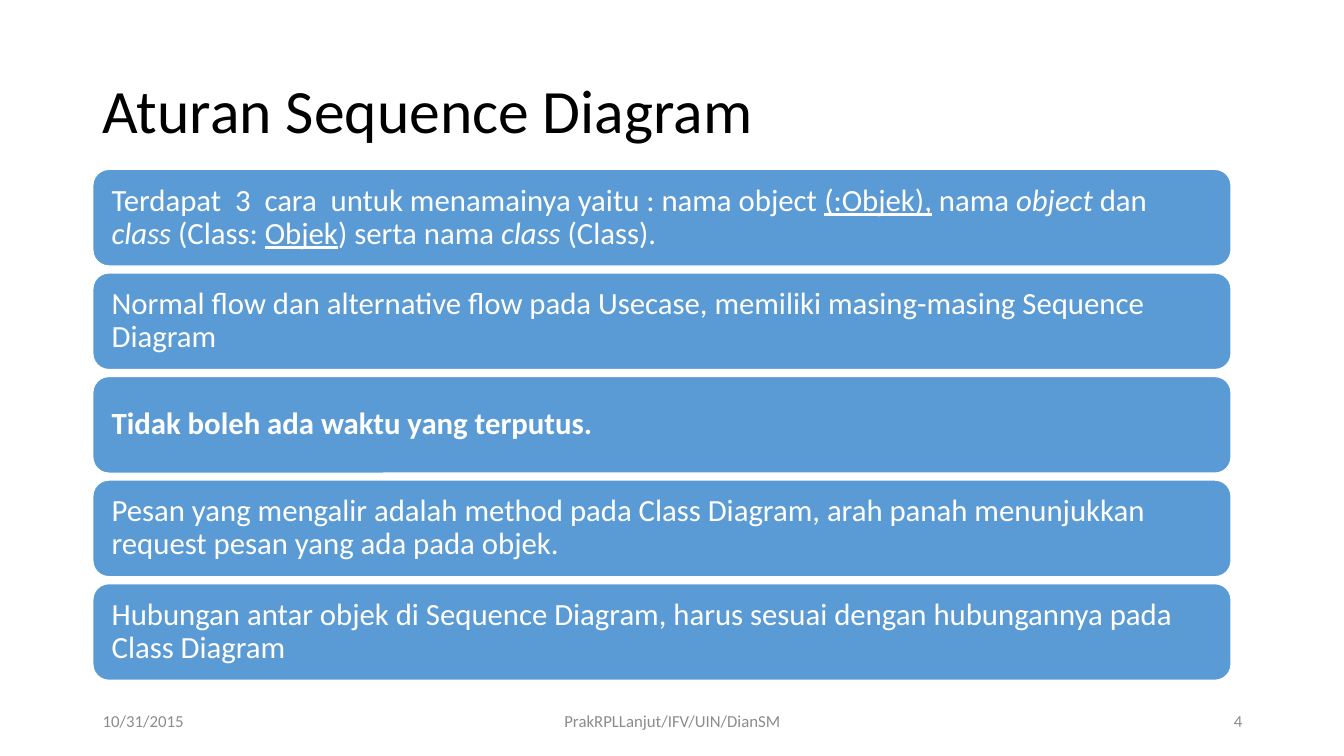
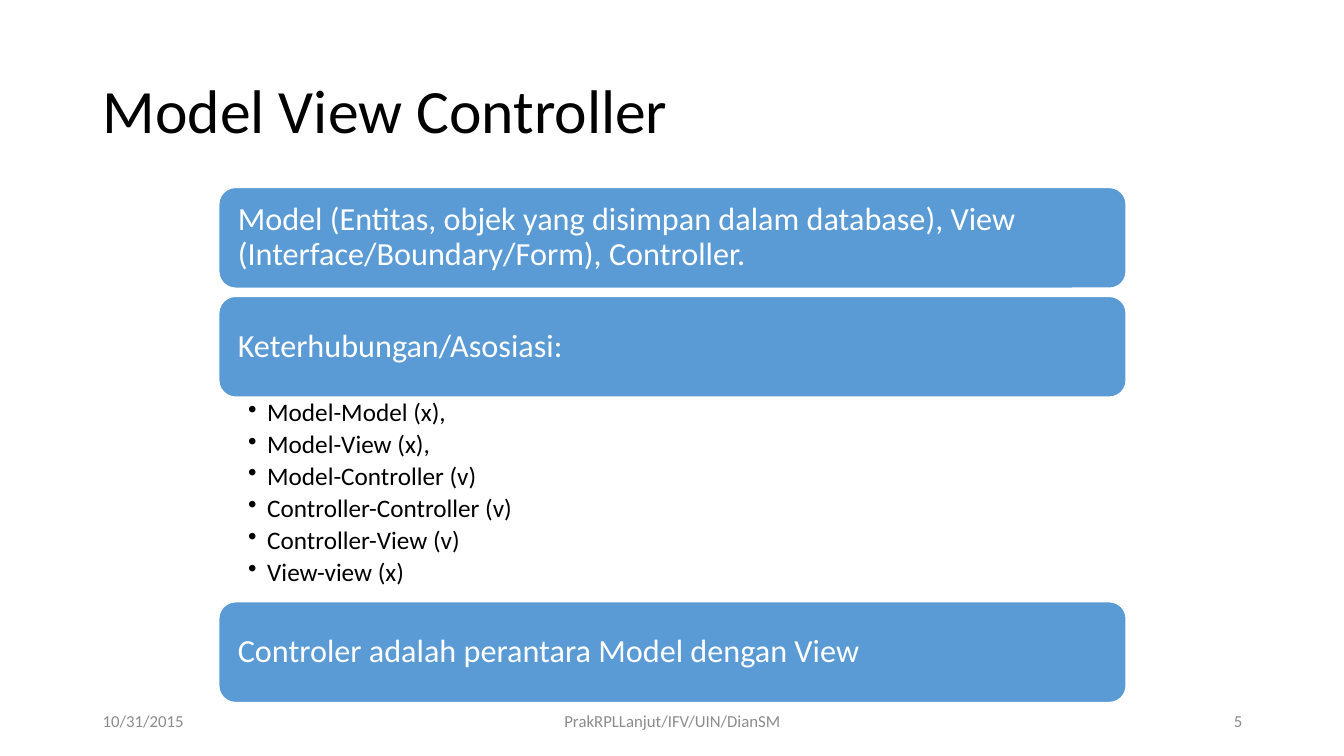
"""Build two slides on sequence diagrams and the model view controller."""
from dataclasses import dataclass, field
from typing import Any

from lxml import etree
from pptx import Presentation
from pptx.dml import color
from pptx.enum import shapes, text
from pptx.oxml import ns
from pptx.util import Inches, Pt

HUES = {"card": "5B9BD5", "paper": "FFFFFF", "ink": "000000", "note": "8C8C8C"}
FONT = "Calibri"
LEFT, MID, RIGHT = text.PP_ALIGN.LEFT, text.PP_ALIGN.CENTER, text.PP_ALIGN.RIGHT
DATE = "10/31/2015"
COURSE = "PrakRPLLanjut/IFV/UIN/DianSM"


@dataclass(frozen=True)
class Box:
    left: float
    top: float
    width: float
    height: float

    def place(self) -> list[int]:
        return [Inches(n) for n in (self.left, self.top, self.width, self.height)]


@dataclass(frozen=True)
class Span:
    words: str
    look: dict[str, bool] = field(default_factory=dict)


@dataclass(frozen=True)
class Style:
    size: float
    hue: str
    align: Any = LEFT
    line: float = 1.0
    after: float = 0


@dataclass(frozen=True)
class Card:
    box: Box
    spans: list[Span]
    size: float


HEAD = Style(44, "ink", line=0.9)
ITEM = Style(18, "ink", line=0.9, after=3.3)
TITLE = Box(0.92, 0.4, 11.5, 1.45)
FOOT_TOP, FOOT_HIGH = 6.95, 0.4
ITALIC, UNDER, BOLD = {"italic": True}, {"underline": True}, {"bold": True}

RULES = [
    [
        Span("Terdapat  3  cara  untuk menamainya yaitu : nama object "),
        Span("(:Objek),", UNDER),
        Span(" nama "),
        Span("object ", ITALIC),
        Span("dan "),
        Span("class ", ITALIC),
        Span("(Class: "),
        Span("Objek", UNDER),
        Span(") serta nama "),
        Span("class ", ITALIC),
        Span("(Class)."),
    ],
    [Span("Normal flow dan alternative flow pada Usecase, memiliki masing-masing Sequence Diagram")],
    [Span("Tidak boleh ada waktu yang terputus.", BOLD)],
    [Span("Pesan yang mengalir adalah method pada Class Diagram, arah panah menunjukkan request pesan yang ada pada objek.")],
    [Span("Hubungan antar objek di Sequence Diagram, harus sesuai dengan hubungannya pada Class Diagram")],
]
PARTS = {
    1.86: "Model (Entitas, objek yang disimpan dalam database), View (Interface/Boundary/Form), Controller.",
    2.94: "Keterhubungan/Asosiasi:",
    5.97: "Controler adalah perantara Model dengan View",
}
LINKS = [
    "Model-Model (x),",
    "Model-View (x),",
    "Model-Controller (v)",
    "Controller-Controller (v)",
    "Controller-View (v)",
    "View-view (x)",
]


def tint(name: str) -> color.RGBColor:
    return color.RGBColor.from_string(HUES[name])


def frame(body: Any, pads: tuple[float, ...], anchor: Any) -> None:
    form = {"word_wrap": True, "auto_size": text.MSO_AUTO_SIZE.NONE, "vertical_anchor": anchor}
    sides = ("margin_left", "margin_top", "margin_right", "margin_bottom")
    form.update(zip(sides, (Inches(pad) for pad in pads)))
    for key, value in form.items():
        setattr(body, key, value)


def write(para: Any, spans: list[Span], style: Style) -> None:
    form = {
        "alignment": style.align,
        "line_spacing": style.line,
        "space_before": Pt(0),
        "space_after": Pt(style.after),
    }
    for key, value in form.items():
        setattr(para, key, value)
    for span in spans:
        run = para.add_run()
        run.text = span.words
        run.font.color.rgb = tint(style.hue)
        for key, value in {"name": FONT, "size": Pt(style.size), **span.look}.items():
            setattr(run.font, key, value)


def add_card(slide: Any, card: Card) -> None:
    shape = slide.shapes.add_shape(shapes.MSO_SHAPE.ROUNDED_RECTANGLE, *card.box.place())
    shape.shadow.inherit = False
    shape.fill.solid()
    shape.fill.fore_color.rgb = tint("card")
    shape.line.color.rgb = tint("paper")
    shape.line.width = Pt(1)
    frame(shape.text_frame, (0.14,) * 4, text.MSO_ANCHOR.MIDDLE)
    style = Style(card.size, "paper", line=0.9)
    write(shape.text_frame.paragraphs[0], card.spans, style)


def add_list(slide: Any, box: Box, items: list[str]) -> None:
    body = slide.shapes.add_textbox(*box.place()).text_frame
    frame(body, (0.29, 0.03, 0.18, 0.03), text.MSO_ANCHOR.TOP)
    for rank, item in enumerate(items):
        para = body.add_paragraph() if rank else body.paragraphs[0]
        para.level = 1
        write(para, [Span(item)], ITEM)
        props = para._p.get_or_add_pPr()
        props.set("marL", str(Inches(0.19)))
        props.set("indent", str(-Inches(0.19)))
        etree.SubElement(props, ns.qn("a:buChar")).set("char", "•")


def add_foot(slide: Any, page: int) -> None:
    notes = [(0.92, 3, DATE, LEFT), (4.42, 4.5, COURSE, MID), (9.42, 3, str(page), RIGHT)]
    for left, width, words, align in notes:
        box = Box(left, FOOT_TOP, width, FOOT_HIGH)
        body = slide.shapes.add_textbox(*box.place()).text_frame
        frame(body, (0.1, 0.05, 0.1, 0.05), text.MSO_ANCHOR.MIDDLE)
        write(body.paragraphs[0], [Span(words)], Style(12, "note", align))


def add_slide(deck: Any, title: str, page: int) -> Any:
    slide = deck.slides.add_slide(deck.slide_layouts[5])
    head = slide.shapes.title
    for key, value in zip(("left", "top", "width", "height"), TITLE.place()):
        setattr(head, key, value)
    frame(head.text_frame, (0.1, 0.05, 0.1, 0.05), text.MSO_ANCHOR.MIDDLE)
    write(head.text_frame.paragraphs[0], [Span(title)], HEAD)
    add_foot(slide, page)
    return slide


def add_rules(deck: Any) -> None:
    slide = add_slide(deck, "Aturan Sequence Diagram", 4)
    first, last = 1.68, 5.79
    step = (last - first) / (len(RULES) - 1)
    for rank, spans in enumerate(RULES):
        add_card(slide, Card(Box(0.92, first + rank * step, 11.29, 0.96), spans, 22))


def add_parts(deck: Any) -> None:
    slide = add_slide(deck, "Model View Controller", 5)
    for top, words in PARTS.items():
        add_card(slide, Card(Box(2.17, top, 9, 1), [Span(words)], 23))
    add_list(slide, Box(2.17, 3.94, 9, 2.03), LINKS)


def main() -> None:
    deck = Presentation()
    deck.slide_width, deck.slide_height = Inches(13.33), Inches(7.5)
    add_rules(deck)
    add_parts(deck)
    deck.save("out.pptx")


if __name__ == "__main__":
    main()
